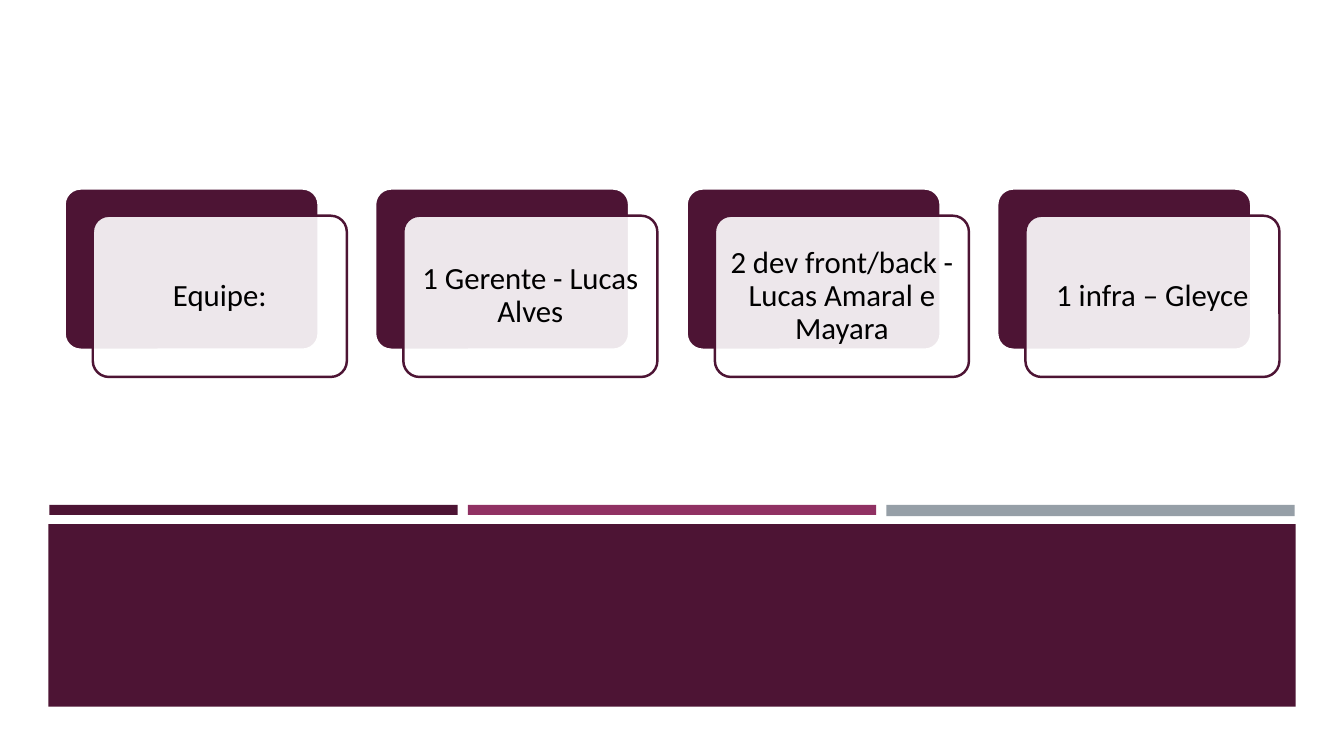
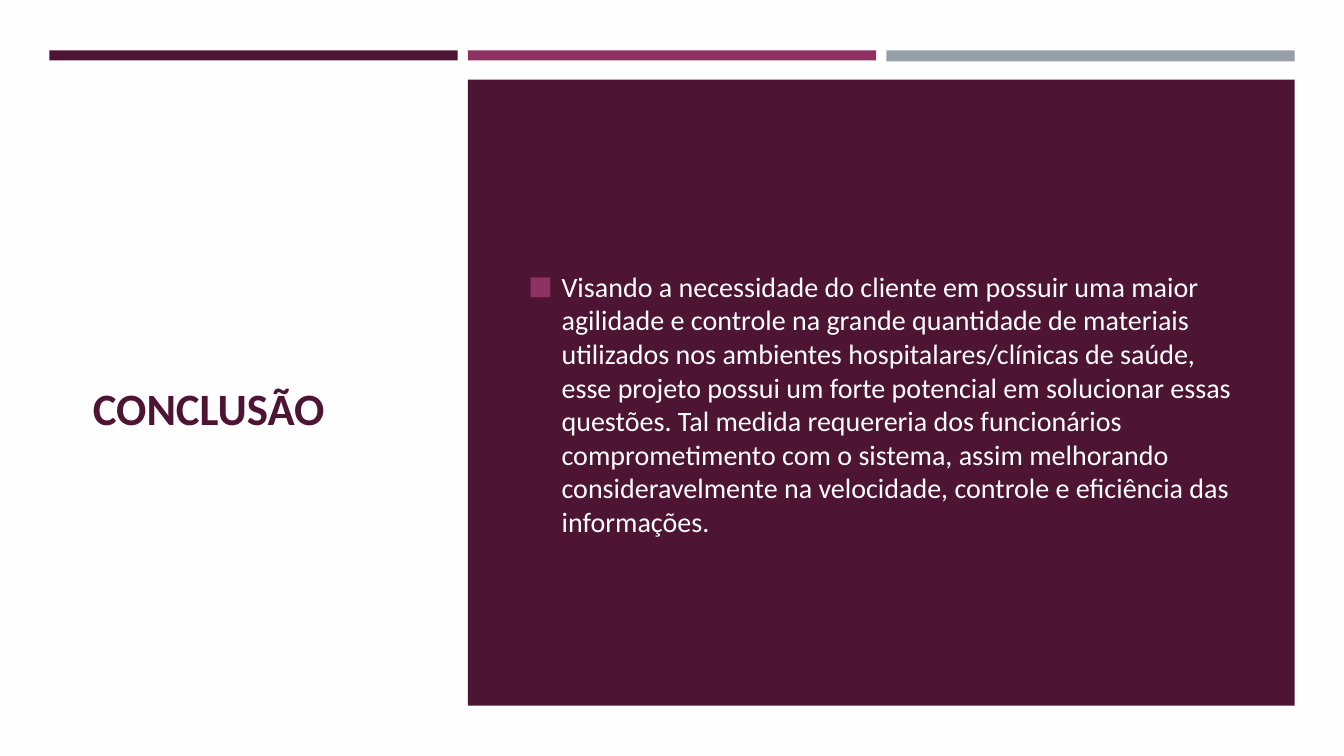
"""Build the team slide and the conclusion slide."""
from dataclasses import dataclass
from typing import Any, Optional

from lxml import etree
from pptx import Presentation
from pptx.dml.color import RGBColor
from pptx.enum.shapes import MSO_SHAPE
from pptx.enum.text import MSO_ANCHOR, MSO_AUTO_SIZE, PP_ALIGN
from pptx.oxml.ns import qn
from pptx.util import Emu, Pt

RECT = MSO_SHAPE.RECTANGLE
ROUNDED = MSO_SHAPE.ROUNDED_RECTANGLE
MIDDLE = MSO_ANCHOR.MIDDLE
NO_AUTOFIT = MSO_AUTO_SIZE.NONE
LEFT = PP_ALIGN.LEFT
CENTER = PP_ALIGN.CENTER
EMU_PER_PX = 9144
TITLE_AND_CONTENT = 1
BLANK = 6


@dataclass(frozen=True)
class Theme:
    plum: str = "4D1434"
    magenta: str = "903163"
    gray: str = "969FA7"
    white: str = "FFFFFF"
    off_white: str = "FFFEFF"
    black: str = "000000"
    font: str = "Calibri"
    title_size: int = 32
    card_size: int = 22
    body_size: int = 20
    card_outline: float = 1.75
    card_opacity: int = 90
    bullet: str = "■"
    bullet_scale: int = 92


@dataclass(frozen=True)
class Box:
    left: int
    top: int
    width: int
    height: int

    def emu(self) -> tuple:
        return tuple(px(side) for side in (self.left, self.top, self.width, self.height))


@dataclass(frozen=True)
class Band:
    color: str
    height: int


@dataclass(frozen=True)
class TextStyle:
    size: int
    color: str
    align: Any
    bold: bool = False
    line_spacing: float = 1.0


THEME = Theme()
SLIDE_WIDTH, SLIDE_HEIGHT = 1333, 750
BANDS = (Band(THEME.plum, 10), Band(THEME.magenta, 10), Band(THEME.gray, 11))
BAND_LEFT, BAND_WIDTH, BAND_GAP = 49, 405, 10
CARD_FIRST, CARD_LAST, CARD_TOP = 64, 989, 187
CARD_WIDTH, CARD_HEIGHT = 252, 160
CARD_SHIFT_X, CARD_SHIFT_Y = 28, 27
BULLET_INDENT = 33
CARD_TEXT = TextStyle(THEME.card_size, THEME.black, CENTER, line_spacing=0.9)
TITLE_TEXT = TextStyle(THEME.title_size, THEME.plum, LEFT, bold=True)
BODY_TEXT = TextStyle(THEME.body_size, THEME.white, LEFT)

TEAM = (
    "Equipe:",
    "1 Gerente - Lucas Alves",
    "2 dev front/back - Lucas Amaral e Mayara",
    "1 infra – Gleyce",
)
CONCLUSION = (
    "Visando a necessidade do cliente em possuir uma maior agilidade e controle na "
    "grande quantidade de materiais utilizados nos ambientes hospitalares/clínicas de "
    "saúde, esse projeto possui um forte potencial em solucionar essas questões. Tal "
    "medida requereria dos funcionários comprometimento com o sistema, assim melhorando "
    "consideravelmente na velocidade, controle e eficiência das informações."
)


def px(length: int) -> Emu:
    return Emu(length * EMU_PER_PX)


def rgb(color: str) -> RGBColor:
    return RGBColor.from_string(color)


def apply(target: Any, values: dict) -> None:
    for key, value in values.items():
        setattr(target, key, value)


def add_panel(slide: Any, kind: Any, box: Box, fill: str, outline: Optional[str] = None) -> Any:
    panel = slide.shapes.add_shape(kind, *box.emu())
    panel.shadow.inherit = False
    panel.fill.solid()
    panel.fill.fore_color.rgb = rgb(fill)
    if outline is None:
        panel.line.fill.background()
    else:
        panel.line.color.rgb = rgb(outline)
        panel.line.width = Pt(THEME.card_outline)
    return panel


def write(holder: Any, text: str, style: TextStyle, margins: dict) -> Any:
    frame = holder.text_frame
    frame.text = text
    apply(frame, {
        "word_wrap": True,
        "auto_size": NO_AUTOFIT,
        "vertical_anchor": MIDDLE,
        **{f"margin_{side}": px(margin) for side, margin in margins.items()},
    })
    paragraph = frame.paragraphs[0]
    apply(paragraph, {
        "alignment": style.align,
        "line_spacing": style.line_spacing,
        "space_before": Pt(0),
        "space_after": Pt(0),
    })
    apply(paragraph.font, {"name": THEME.font, "size": Pt(style.size), "bold": style.bold})
    paragraph.font.color.rgb = rgb(style.color)
    for run in paragraph.runs:
        apply(run.font, {"name": THEME.font, "size": Pt(style.size), "bold": style.bold})
        run.font.color.rgb = rgb(style.color)
    return paragraph


def fill_placeholder(holder: Any, box: Box, text: str, style: TextStyle, margin_top: int) -> Any:
    apply(holder, dict(zip(("left", "top", "width", "height"), box.emu())))
    return write(holder, text, style, {"left": 10, "top": margin_top, "right": 10, "bottom": 5})


def add_bullet(paragraph: Any) -> None:
    properties = paragraph._p.get_or_add_pPr()
    properties.set("marL", str(px(BULLET_INDENT)))
    properties.set("indent", str(-px(BULLET_INDENT)))
    color = etree.SubElement(properties, qn("a:buClr"))
    etree.SubElement(color, qn("a:srgbClr"), val=THEME.magenta)
    etree.SubElement(properties, qn("a:buSzPct"), val=str(THEME.bullet_scale * 1000))
    etree.SubElement(properties, qn("a:buFont"), typeface=THEME.font)
    etree.SubElement(properties, qn("a:buChar"), char=THEME.bullet)


def add_bands(slide: Any, top: int) -> None:
    for index, band in enumerate(BANDS):
        left = BAND_LEFT + index * (BAND_WIDTH + BAND_GAP)
        add_panel(slide, RECT, Box(left, top, BAND_WIDTH, band.height), band.color)


def add_card(slide: Any, left: int, text: str) -> None:
    back_box = Box(left, CARD_TOP, CARD_WIDTH, CARD_HEIGHT)
    front_box = Box(left + CARD_SHIFT_X, CARD_TOP + CARD_SHIFT_Y, CARD_WIDTH, CARD_HEIGHT)
    back = add_panel(slide, ROUNDED, back_box, THEME.plum, THEME.white)
    front = add_panel(slide, ROUNDED, front_box, THEME.white, THEME.plum)
    for layer in (back, front):
        layer.adjustments[0] = 0.1
    front_fill = front.element.spPr.find(qn("a:solidFill")).find(qn("a:srgbClr"))
    etree.SubElement(front_fill, qn("a:alpha"), val=str(THEME.card_opacity * 1000))
    write(front, text, CARD_TEXT, dict.fromkeys(("left", "top", "right", "bottom"), 4))


def add_slide(deck: Any, layout: int, background: str) -> Any:
    slide = deck.slides.add_slide(deck.slide_layouts[layout])
    slide.background.fill.solid()
    slide.background.fill.fore_color.rgb = rgb(background)
    return slide


def build_team(deck: Any) -> None:
    slide = add_slide(deck, BLANK, THEME.white)
    add_bands(slide, 501)
    add_panel(slide, RECT, Box(48, 520, 1237, 181), THEME.plum)
    pitch = (CARD_LAST - CARD_FIRST) / (len(TEAM) - 1)
    for index, member in enumerate(TEAM):
        add_card(slide, CARD_FIRST + round(index * pitch), member)


def build_conclusion(deck: Any) -> None:
    slide = add_slide(deck, TITLE_AND_CONTENT, THEME.off_white)
    title, body = slide.placeholders
    add_bands(slide, 50)
    panel = add_panel(slide, RECT, Box(464, 79, 820, 621), THEME.plum)
    body.element.addprevious(panel.element)
    fill_placeholder(title, Box(82, 117, 334, 515), "CONCLUSÃO", TITLE_TEXT, 65)
    add_bullet(fill_placeholder(body, Box(514, 117, 722, 515), CONCLUSION, BODY_TEXT, 57))


def main() -> None:
    deck = Presentation()
    apply(deck, {"slide_width": px(SLIDE_WIDTH), "slide_height": px(SLIDE_HEIGHT)})
    build_team(deck)
    build_conclusion(deck)
    deck.save("out.pptx")


if __name__ == "__main__":
    main()
